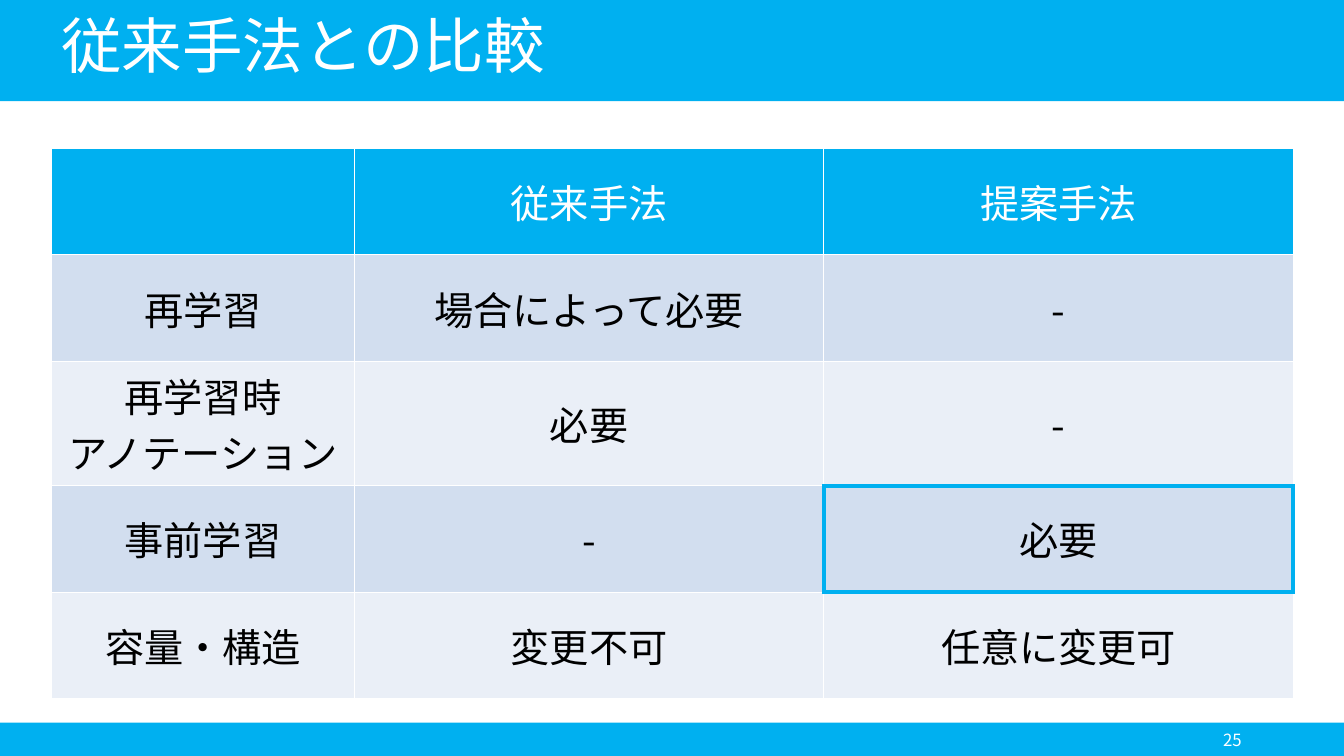
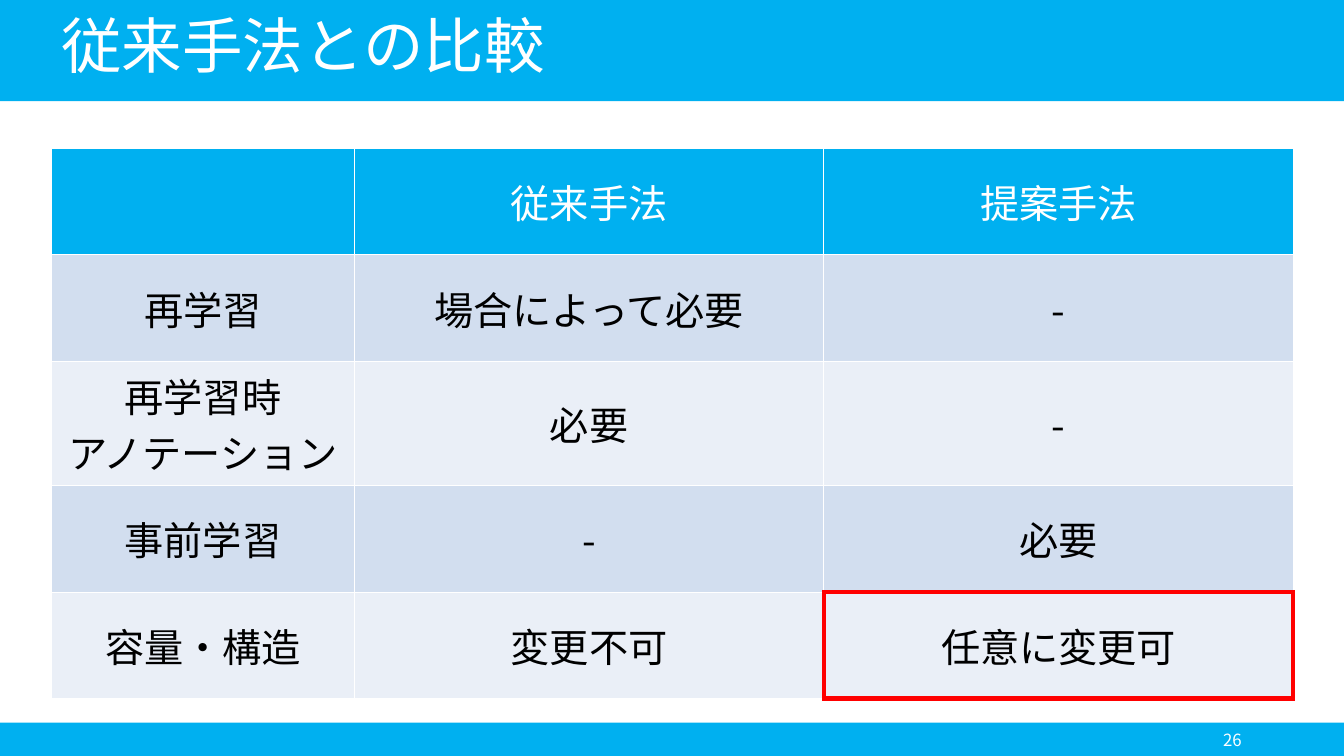
from lxml import etree
from pptx import Presentation
from pptx.dml.color import RGBColor
from pptx.enum import shapes, text
from pptx.oxml import ns
from pptx.util import Pt

SKY = RGBColor(0x00, 0xB0, 0xF0)
RED = RGBColor(0xFF, 0x00, 0x00)
WHITE = RGBColor(0xFF, 0xFF, 0xFF)
BLACK = RGBColor(0x00, 0x00, 0x00)
STRIPES = [RGBColor(0xEA, 0xEF, 0xF7), RGBColor(0xD2, 0xDE, 0xEF)]

FONT = "Noto Sans CJK JP"
LEFT, WIDTH = 36.7, 887
BANDS = [(-0.5, -0.5, 961, 72.7), (-0.5, 516.2, 961, 26)]
TABLE_TOP = 106
ROWS = [76, 76, 89, 76, 76]
COLUMNS = [216.4, 335.3, 335.3]

TITLE = "従来手法との比較"
COMPARISON = [
    ["", "従来手法", "提案手法"],
    ["再学習", "場合によって必要", "-"],
    ["再学習時\nアノテーション", "必要", "-"],
    ["事前学習", "-", "必要"],
    ["容量・構造", "変更不可", "任意に変更可"],
]


def points(*lengths):
    return [Pt(length) for length in lengths]


def write(frame, words, size, color, align, spacing=None):
    """Fill a text frame, one paragraph for each line of words."""
    frame.text = words
    frame.word_wrap = True
    frame.vertical_anchor = text.MSO_ANCHOR.MIDDLE
    look = {"size": Pt(size), "name": FONT, "bold": False}
    for para in frame.paragraphs:
        para.alignment = align
        para.line_spacing = spacing
        for span in para.runs:
            for key, value in look.items():
                setattr(span.font, key, value)
            span.font.color.rgb = color
            east_asian = etree.SubElement(span.font._element, ns.qn("a:ea"))
            east_asian.set("typeface", FONT)


def add_rectangle(page, place, fill=None, line=None):
    box = page.shapes.add_shape(shapes.MSO_SHAPE.RECTANGLE, *points(*place))
    box.shadow.inherit = False
    for part, color in ((box.fill, fill), (box.line.fill, line)):
        if color is None:
            part.background()
        else:
            part.solid()
            part.fore_color.rgb = color
    if line is not None:
        box.line.width = Pt(3)
        outline = box._element.spPr.find(ns.qn("a:ln"))
        etree.SubElement(outline, ns.qn("a:miter"), lim="800000")
    return box


def add_highlight(page, row, color):
    """Frame the last cell of a table row."""
    left = LEFT + sum(COLUMNS[:-1])
    top = TABLE_TOP + sum(ROWS[:row])
    add_rectangle(page, (left, top, COLUMNS[-1], ROWS[row]), line=color)


def set_borders(cell):
    properties = cell._tc.get_or_add_tcPr()
    for index, side in enumerate(("lnL", "lnR", "lnT", "lnB")):
        border = etree.Element(ns.qn("a:" + side), w=str(Pt(1)))
        fill = etree.SubElement(border, ns.qn("a:solidFill"))
        etree.SubElement(fill, ns.qn("a:srgbClr"), val=str(WHITE))
        properties.insert(index, border)


def add_comparison(page):
    place = points(LEFT, TABLE_TOP, WIDTH, sum(ROWS))
    table = page.shapes.add_table(len(ROWS), len(COLUMNS), *place).table
    for column, width in zip(table.columns, COLUMNS):
        column.width = Pt(width)
    for r, row in enumerate(COMPARISON):
        table.rows[r].height = Pt(ROWS[r])
        header = r == 0
        for c, words in enumerate(row):
            cell = table.cell(r, c)
            cell.vertical_anchor = text.MSO_ANCHOR.MIDDLE
            cell.fill.solid()
            cell.fill.fore_color.rgb = SKY if header else STRIPES[r % 2]
            set_borders(cell)
            write(cell.text_frame, words, 28, WHITE if header else BLACK,
                  text.PP_ALIGN.CENTER)


def add_page(deck, title, number):
    """Add a slide with the shared bands, title and page number."""
    page = deck.slides.add_slide(deck.slide_layouts.get_by_name("Title Only"))
    heading = page.shapes.title
    for key, value in zip(("left", "top", "width", "height"),
                          points(LEFT, 6.7, WIDTH, 56.2)):
        setattr(heading, key, value)
    write(heading.text_frame, title, 43.2, WHITE, text.PP_ALIGN.LEFT, 0.9)
    heading.text_frame.auto_size = text.MSO_AUTO_SIZE.NONE
    for place in BANDS:
        band = add_rectangle(page, place, fill=SKY)
        heading._element.addprevious(band._element)
    box = page.shapes.add_textbox(*points(678, 518.4, 216, 20.2))
    write(box.text_frame, str(number), 12, WHITE, text.PP_ALIGN.RIGHT)
    return page


def main():
    deck = Presentation()
    deck.slide_width, deck.slide_height = points(960, 540)
    for number, row, color in ((25, 3, SKY), (26, 4, RED)):
        page = add_page(deck, TITLE, number)
        add_comparison(page)
        add_highlight(page, row, color)
    deck.save("out.pptx")


if __name__ == "__main__":
    main()
